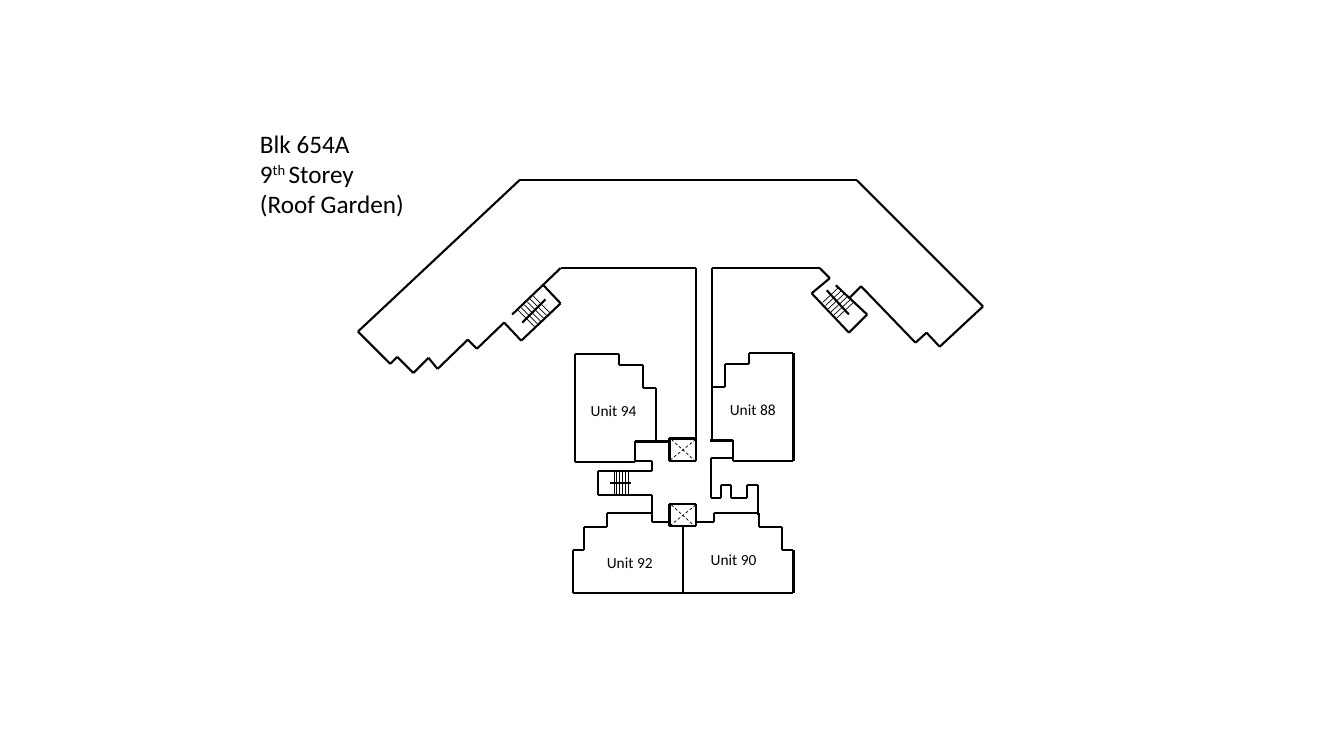
import itertools

import lxml.etree
import pptx
import pptx.dml.color
import pptx.enum.dml
import pptx.enum.shapes
import pptx.oxml.ns
import pptx.util

BLACK = pptx.dml.color.RGBColor(0, 0, 0)
FONT = "Calibri"
COLS, ROWS = 1333, 750
CELL = pptx.util.Inches(0.01)
WALL, THIN = 1.5, 0.5


def cells(n):
    """Return the length of n grid cells."""
    return round(n * CELL)


def draw_path(shapes, box, points, weight=WALL, dashed=False, flip=1):
    """Join points, counted in cells from the box corner, with straight lines."""
    left, top = box
    placed = [(cells(left + flip * x), cells(top + y)) for x, y in points]
    for start, end in itertools.pairwise(placed):
        sp = shapes.add_connector(pptx.enum.shapes.MSO_CONNECTOR.STRAIGHT, *start, *end)
        sp.line.color.rgb = BLACK
        sp.line.width = pptx.util.Pt(weight)
        if dashed:
            sp.line.dash_style = pptx.enum.dml.MSO_LINE.DASH
        props = sp._element.spPr
        lxml.etree.SubElement(props, pptx.oxml.ns.qn("a:effectLst"))


def draw_stair(shapes, box, tread, step, rail):
    """Draw six treads at an equal step and the rail across them."""
    dx, dy = step
    for i in range(6):
        draw_path(shapes, box, [(x + i * dx, y + i * dy) for x, y in tread], THIN)
    draw_path(shapes, box, rail)


def draw_lift(shapes, box):
    """Draw a lift shaft with dashed diagonals."""
    w, h = 26, 22
    draw_path(shapes, box, [(0, 0), (w, 0), (w, h), (0, h), (0, 0)])
    for diagonal in ([(w, 1), (0, h)], [(2, 1), (w - 1, h)]):
        draw_path(shapes, box, diagonal, THIN, dashed=True)


def draw_upper_unit(shapes, box, ledge, flip=1):
    """Draw an upper unit from its outer top corner, with its ledge end."""
    outline = [(81, 87), (81, 34), (68, 34), (68, 11), (44, 11), (44, 0),
               (0, 0), (0, 107), (60, 107), (60, 87), (ledge, 87)]
    draw_path(shapes, box, outline, flip=flip)


def draw_lower_units(shapes, box):
    """Draw the two mirrored lower units with their shared walls."""
    left, top = box
    width, depth = 219, 79
    half = [(0, depth), (0, 37), (11, 37), (11, 14), (34, 14), (34, 0),
            (79, 0), (79, 9), (97, 9)]
    draw_path(shapes, box, half)
    draw_path(shapes, (left + width, top), half, flip=-1)
    draw_path(shapes, box, [(0, depth), (width, depth)])
    draw_path(shapes, box, [(width / 2, 13), (width / 2, depth)])


def draw_roof_garden(shapes, box):
    """Draw the winged garden, its corridor and its two slanted stairs."""
    outer = [(487, 117), (499, 105), (553, 161), (564, 151), (577, 165),
             (620, 125), (495, 0), (160, 0), (0, 150), (32, 182), (39, 175),
             (55, 191), (70, 176), (79, 187), (109, 158), (118, 167),
             (145, 141), (162, 159), (201, 122), (184, 104)]
    inner_left = [(153, 133), (201, 87), (335, 87), (335, 258)]
    inner_right = [(351, 260), (351, 87), (458, 87), (468, 97), (450, 112),
                   (487, 151), (505, 133), (474, 104)]
    for points in (outer, inner_left, inner_right):
        draw_path(shapes, box, points)
    draw_stair(shapes, box, [(174, 115), (190, 131)], (-3, 2.8), [(163, 141), (186, 118)])
    draw_stair(shapes, box, [(477, 106), (461, 121)], (2.8, 3.1), [(487, 133), (465, 109)])


def draw_core(shapes, box):
    """Draw the lift lobby with its stair, ducts and lifts."""
    left, top = box
    lobby = [(37, 22), (54, 22), (54, 32), (0, 32), (0, 56), (54, 56), (54, 75)]
    ducts = [(134, 19), (112, 19), (112, 59), (122, 59), (122, 46), (132, 46),
             (132, 59), (148, 59), (148, 46), (159, 46), (159, 76)]
    for points in (lobby, ducts):
        draw_path(shapes, box, points)
    draw_stair(shapes, box, [(30, 31), (30, 56)], (-2.8, 0), [(12, 44), (33, 44)])
    for row in (0, 65):
        draw_lift(shapes, (left + 71, top + row))


def add_text(shapes, box, paragraphs, size, wrap=True):
    """Add a text box whose paragraphs are lists of (text, baseline) runs."""
    tf = shapes.add_textbox(*map(cells, box)).text_frame
    tf.word_wrap = wrap
    for i, runs in enumerate(paragraphs):
        p = tf.add_paragraph() if i else tf.paragraphs[0]
        for text, baseline in runs:
            r = p.add_run()
            r.text = text
            r.font.name = FONT
            r.font.size = pptx.util.Pt(size)
            r.font.color.rgb = BLACK
            if baseline:
                r._r.get_or_add_rPr().set("baseline", str(baseline * 1000))


def build_floor_plan(prs):
    """Build the floor plan slide."""
    slide = prs.slides.add_slide(prs.slide_layouts[6])
    plan = slide.shapes.add_group_shape().shapes
    draw_upper_unit(plan, (787, 350), ledge=83, flip=-1)
    draw_upper_unit(plan, (570, 351), ledge=94)
    draw_lower_units(plan, (568, 509))
    draw_core(plan, (593, 435))
    draw_roof_garden(plan, (355, 179))

    title = [[("Blk 654A", 0)], [("9", 0), ("th ", 30), ("Storey", 0)], [("(Roof Garden)", 0)]]
    add_text(slide.shapes, (248, 122, 165, 101), title, 18, wrap=False)
    units = {88: (714, 392), 90: (695, 541), 92: (592, 544), 94: (576, 393)}
    for number, corner in units.items():
        add_text(slide.shapes, (*corner, 68, 29), [[(f"Unit {number}", 0)]], 11)


def main():
    """Create the presentation and save it."""
    prs = pptx.Presentation()
    prs.slide_width, prs.slide_height = cells(COLS), cells(ROWS)
    build_floor_plan(prs)
    prs.save("out.pptx")


if __name__ == "__main__":
    main()
